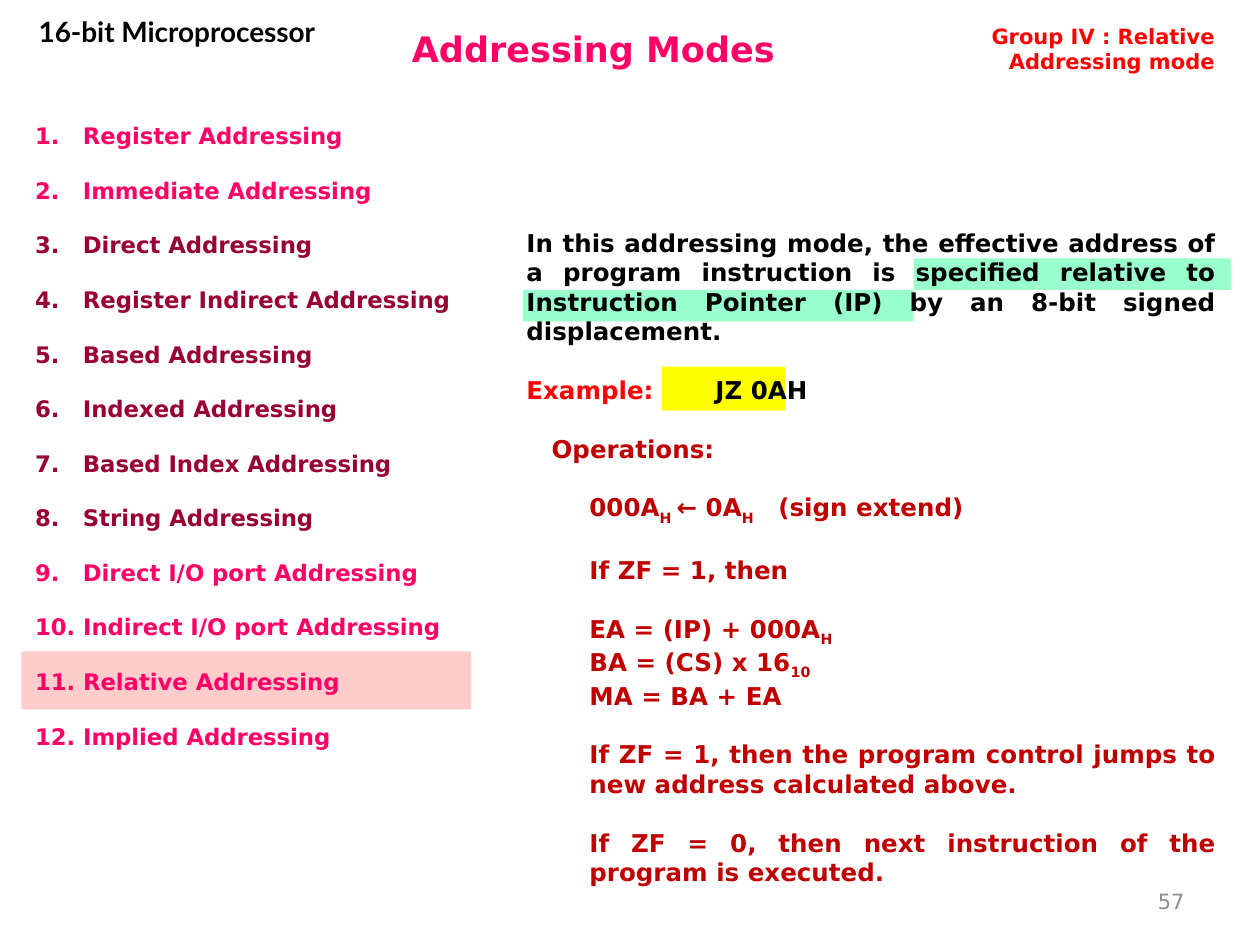
import pptx
import pptx.dml.color
import pptx.enum.shapes
import pptx.enum.text
import pptx.oxml
import pptx.oxml.ns
import pptx.util

Inches = pptx.util.Inches
Pt = pptx.util.Pt
ALIGN = pptx.enum.text.PP_ALIGN
ANCHOR = pptx.enum.text.MSO_ANCHOR

COLORS = {
    "black": "000000", "pink": "FF0066", "wine": "990033", "red": "FF0000",
    "brick": "C00000", "gray": "8C8C8C",
    "mint": "99FFCC", "yellow": "FFFF00", "rose": "FFCCCC",
}
HIGHLIGHTS = [
    ("mint", 7.25, 2.05, 2.52, 0.25),
    ("mint", 4.15, 2.3, 3.1, 0.25),
    ("yellow", 5.25, 2.91, 0.98, 0.35),
    ("rose", 0.17, 5.17, 3.57, 0.46),
]
MODES = [
    "Register Addressing", "Immediate Addressing", "Direct Addressing",
    "Register Indirect Addressing", "Based Addressing", "Indexed Addressing",
    "Based Index Addressing", "String Addressing", "Direct I/O port Addressing",
    "10. Indirect I/O port Addressing", "11. Relative Addressing",
    "12. Implied Addressing",
]
NUMBERED = 9
WINE_MODES = range(2, 8)
OPERATIONS = [
    (True, [("000A", 0), ("H ", 1), ("← 0A", 0), ("H", 1), ("\t(sign extend)", 0)]),
    (True, [("If ZF = 1, then", 0)]),
    (True, [("EA = (IP) + 000A", 0), ("H", 1)]),
    (False, [("BA = (CS) x 16", 0), ("10", 1)]),
    (False, [("MA = BA + EA", 0)]),
    (True, [("If ZF = 1, then the program control jumps to new address calculated above.", 0)]),
    (True, [("If ZF = 0, then next instruction of the program is executed.", 0)]),
]


class Page:
    """Holds the text style and the current slide."""

    font = "DejaVu Sans"
    leading = 1.2
    subscript_leading = 1.36

    def __init__(self, deck):
        self.slide = deck.slides.add_slide(deck.slide_layouts[6])

    def color(self, name):
        return pptx.dml.color.RGBColor.from_string(COLORS[name])

    def highlight(self, color, *place):
        shape = self.slide.shapes.add_shape(
            pptx.enum.shapes.MSO_SHAPE.RECTANGLE, *map(Inches, place))
        shape.shadow.inherit = False
        shape.fill.solid()
        shape.fill.fore_color.rgb = self.color(color)
        shape.line.fill.background()

    def box(self, *place, anchor=ANCHOR.TOP):
        frame = self.slide.shapes.add_textbox(*map(Inches, place)).text_frame
        frame.word_wrap = True
        frame.vertical_anchor = anchor
        return frame

    def para(self, frame, spans, size, color=None, align=ALIGN.LEFT, bold=True, font=None,
             gap=False, margin=0, hanging=0, numbered=False, tabs=()):
        para = frame.paragraphs[0]
        if para.runs:
            para = frame.add_paragraph()
            para.space_before = Pt(size * self.leading if gap else 0)
        subscripted = any(sub for text, sub, *rest in spans)
        ratio = self.subscript_leading if subscripted else self.leading
        para.line_spacing = Pt(round(size * ratio, 1))
        para.alignment = align
        properties = para._p.get_or_add_pPr()
        properties.set("marL", str(Inches(margin)))
        properties.set("indent", str(Inches(-hanging)))
        if numbered:
            self.add(properties, "a:buAutoNum").set("type", "arabicPeriod")
        if tabs:
            stops = self.add(properties, "a:tabLst")
            for stop in tabs:
                tab = self.add(stops, "a:tab")
                tab.set("pos", str(Inches(stop)))
                tab.set("algn", "l")
        para.font.name = font or self.font
        para.font.size = Pt(size)
        para.font.bold = bold
        if color:
            para.font.color.rgb = self.color(color)
        for text, sub, *own_color in spans:
            span = para.add_run()
            span.text = text
            if sub:
                span._r.get_or_add_rPr().set("baseline", "-25000")
            if own_color:
                span.font.color.rgb = self.color(own_color[0])

    def add(self, parent, tag):
        child = pptx.oxml.parse_xml(f"<{tag} {pptx.oxml.ns.nsdecls('a')}/>")
        parent.append(child)
        return child

    def label(self, text, place, size, color, anchor=ANCHOR.TOP, **style):
        self.para(self.box(*place, anchor=anchor), [(text, False)], size, color, **style)


def main():
    deck = pptx.Presentation()
    deck.slide_width, deck.slide_height = Inches(10), Inches(7.5)
    page = Page(deck)

    for highlight in HIGHLIGHTS:
        page.highlight(*highlight)

    page.label("Addressing Modes", (3.17, 0.12, 6.58, 0.53), 20, "pink", anchor=ANCHOR.MIDDLE)
    page.label("57", (7.17, 6.95, 2.33, 0.4), 12, "gray", anchor=ANCHOR.MIDDLE,
               align=ALIGN.RIGHT, bold=False)
    page.label("16-bit Microprocessor", (0.07, 0.07, 2.67, 0.64), 16, "black",
               align=ALIGN.CENTER, font="Lato")

    modes = page.box(0.18, 0.92, 3.56, 5.13)
    for index, mode in enumerate(MODES):
        numbered = index < NUMBERED
        indent = 0.38 if numbered else 0
        page.para(modes, [(mode, False)], 13, "wine" if index in WINE_MODES else "pink",
                  gap=True, margin=indent, hanging=indent, numbered=numbered)

    details = page.box(4.08, 1.76, 5.67, 5.24)
    justified = {"size": 14, "align": ALIGN.JUSTIFY, "gap": True}
    page.para(details, [(
        "In this addressing mode, the effective address of a program instruction is specified "
        "relative to Instruction Pointer (IP) by an 8-bit signed displacement.", False)],
        color="black", **justified)
    page.para(details, [("Example:\t", False, "red"), ("JZ 0AH", False, "black")],
              tabs=[1.14], **justified)
    page.para(details, [("Operations:", False)], color="brick", margin=0.2, **justified)
    for gap, spans in OPERATIONS:
        has_tab = any("\t" in text for text, sub in spans)
        page.para(details, spans, color="brick", margin=0.5,
                  tabs=[1.74, 2.24] if has_tab else (), **{**justified, "gap": gap})

    page.label("Group IV : Relative Addressing mode", (7.24, 0.14, 2.5, 0.5), 12, "red",
               align=ALIGN.RIGHT)
    deck.save("out.pptx")


if __name__ == "__main__":
    main()
